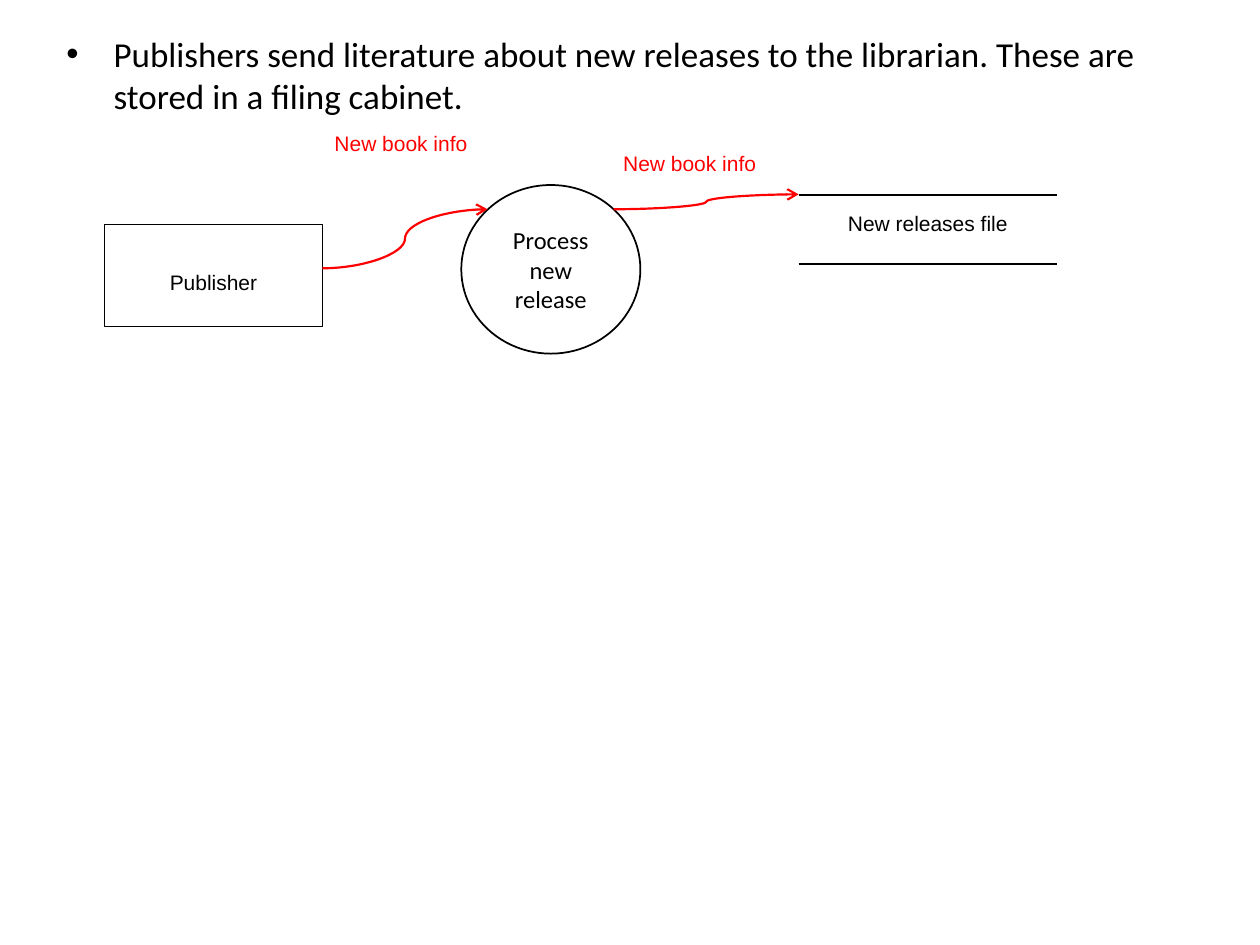
from dataclasses import dataclass

from lxml import etree
from pptx import Presentation
from pptx.dml.color import RGBColor
from pptx.enum.shapes import MSO_CONNECTOR, MSO_SHAPE
from pptx.enum.text import MSO_ANCHOR, PP_ALIGN
from pptx.oxml.ns import qn
from pptx.util import Cm, Pt

RECT, OVAL = MSO_SHAPE.RECTANGLE, MSO_SHAPE.OVAL
LINE, CURVE = MSO_CONNECTOR.STRAIGHT, MSO_CONNECTOR.CURVE
TOP, MIDDLE = MSO_ANCHOR.TOP, MSO_ANCHOR.MIDDLE
LEFT, CENTER = PP_ALIGN.LEFT, PP_ALIGN.CENTER


@dataclass(frozen=True)
class Theme:
    ink = RGBColor(0, 0, 0)
    flow = RGBColor(255, 0, 0)
    body = "Calibri"
    label = "Arial"
    large = Pt(20)
    medium = Pt(14)
    small = Pt(12)
    thin = Pt(0.75)
    edge = Pt(1)
    stroke = Pt(1.25)


class Diagram:
    def __init__(self, slide, theme):
        self.slide = slide
        self.theme = theme

    def style(self, frame, text, font, size, color, align=CENTER):
        frame.word_wrap = True
        frame.text = text
        para = frame.paragraphs[0]
        para.alignment = align
        for run in para.runs:
            run.font.name = font
            run.font.size = size
            run.font.color.rgb = color
        return para

    def bullet(self, text, left, top, width, height):
        box = self.slide.shapes.add_textbox(Cm(left), Cm(top), Cm(width), Cm(height))
        theme = self.theme
        para = self.style(box.text_frame, text, theme.body, theme.large, theme.ink, LEFT)
        props = para._p.get_or_add_pPr()
        props.set("marL", str(Cm(0.95)))
        props.set("indent", str(-Cm(0.95)))
        etree.SubElement(props, qn("a:buFont"), typeface="Arial")
        etree.SubElement(props, qn("a:buChar"), char="•")

    def label(self, text, left, top, color):
        box = self.slide.shapes.add_textbox(Cm(left), Cm(top), Cm(4.39), Cm(0.76))
        self.style(box.text_frame, text, self.theme.label, self.theme.small, color)

    def node(self, kind, text, left, top, width, height, font, size, edge, anchor=MIDDLE, inset=0.13):
        shape = self.slide.shapes.add_shape(kind, Cm(left), Cm(top), Cm(width), Cm(height))
        shape.shadow.inherit = False
        shape.fill.background()
        shape.line.color.rgb = self.theme.ink
        shape.line.width = edge
        frame = shape.text_frame
        frame.vertical_anchor = anchor
        frame.margin_top = Cm(inset)
        self.style(frame, text, font, size, self.theme.ink)

    def link(self, kind, start, end, color):
        ends = [Cm(value) for value in (*start, *end)]
        link = self.slide.shapes.add_connector(kind, *ends)
        link.line.color.rgb = color
        link.line.width = self.theme.stroke
        etree.SubElement(link._element.spPr, qn("a:effectLst"))
        return link

    def store(self, text, left, right, top, base):
        for level in (top, base):
            self.link(LINE, (left, level), (right, level), self.theme.ink)
        self.label(text, left + 0.41, top + 0.18, self.theme.ink)

    def flow(self, text, start, end, left, top):
        link = self.link(CURVE, start, end, self.theme.flow)
        etree.SubElement(link.line._get_or_add_ln(), qn("a:tailEnd"), type="arrow")
        self.label(text, left, top, self.theme.flow)


def main():
    deck = Presentation()
    deck.slide_width, deck.slide_height = Cm(25.4), Cm(19.05)
    theme = Theme()
    chart = Diagram(deck.slides.add_slide(deck.slide_layouts[6]), theme)

    chart.bullet(
        "Publishers send literature about new releases to the librarian. "
        "These are stored in a filing cabinet.",
        1.09, 0.53, 22.86, 2.29,
    )
    chart.node(RECT, "Publisher", 2.11, 4.52, 4.39, 2.06,
               theme.label, theme.small, theme.thin, TOP, 0.92)
    chart.node(OVAL, "Process new release", 9.3, 3.73, 3.61, 3.4,
               theme.body, theme.medium, theme.edge)
    chart.store("New releases file", 16.1, 21.31, 3.93, 5.33)
    chart.flow("New book info", (6.5, 5.41), (9.83, 4.22), 5.89, 2.51)
    chart.flow("New book info", (12.37, 4.22), (16.1, 3.92), 11.71, 2.92)

    deck.save("out.pptx")


if __name__ == "__main__":
    main()
